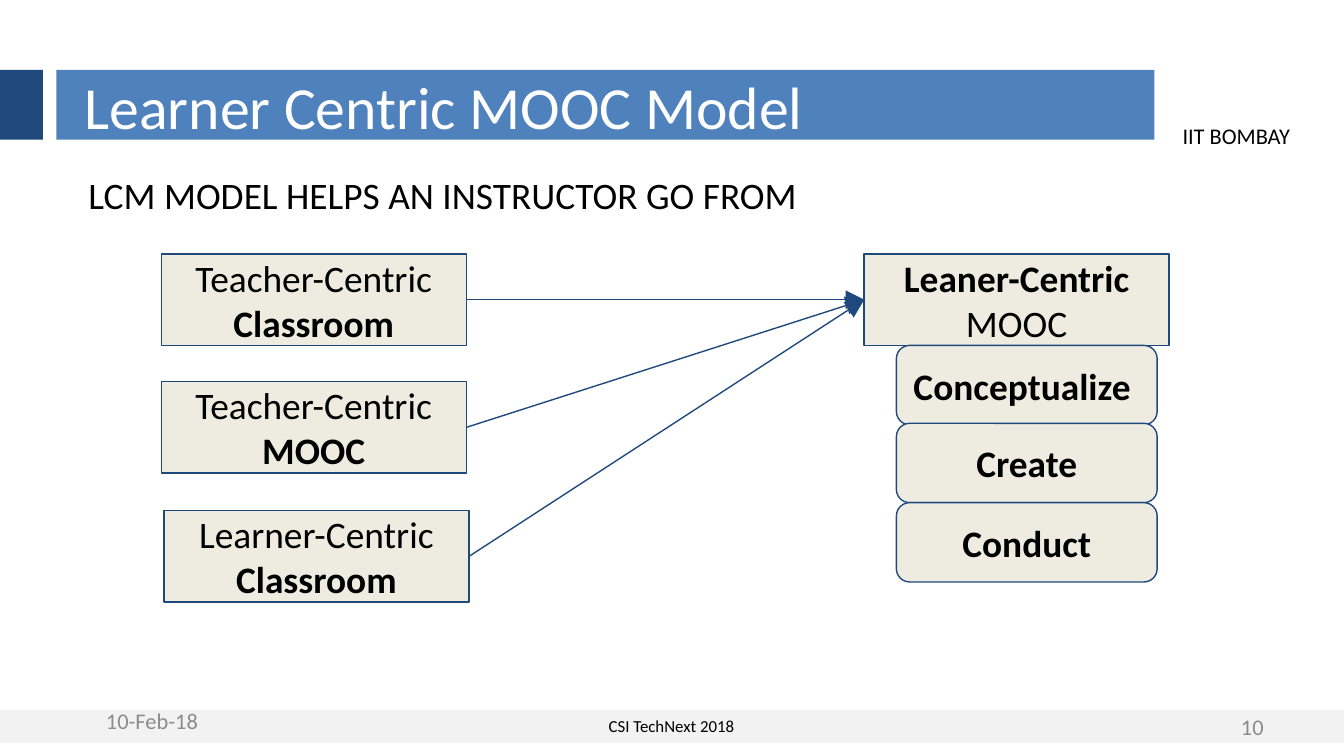
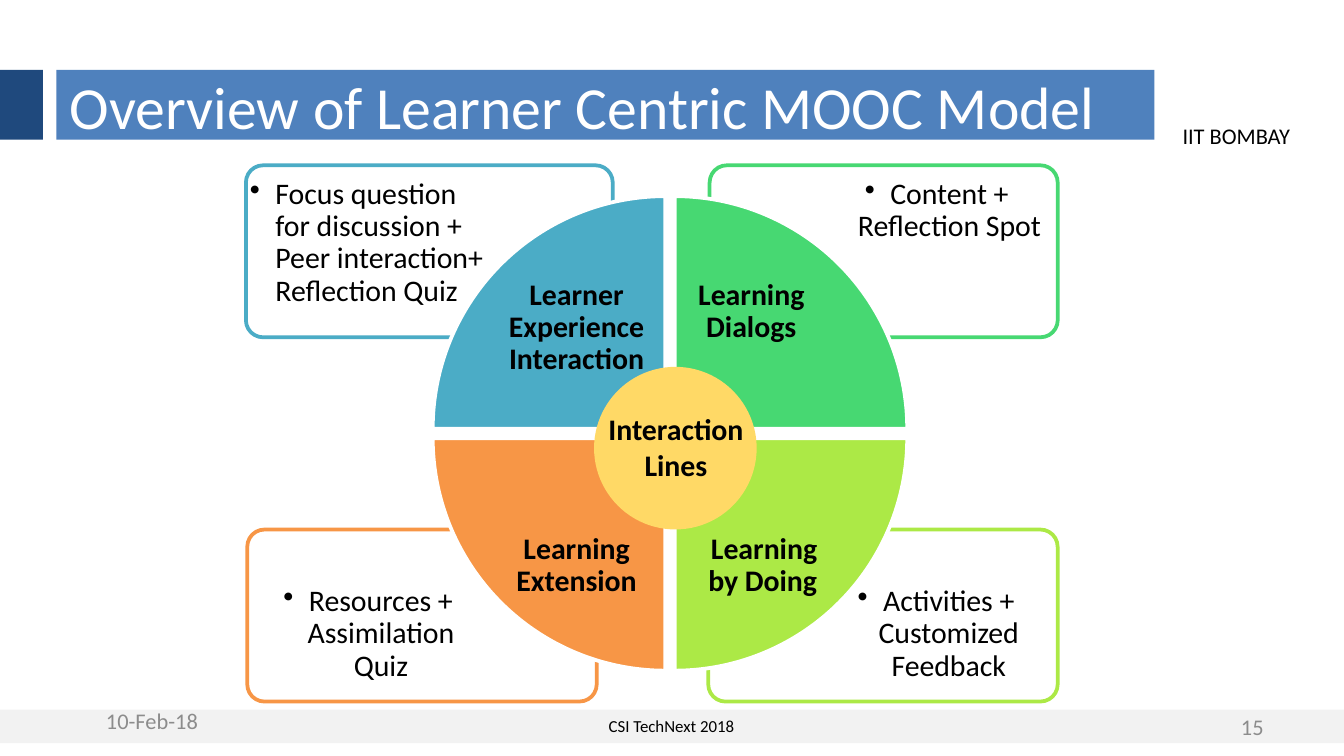
from dataclasses import dataclass
from lxml.etree import SubElement
from pptx import Presentation
from pptx.dml.color import RGBColor
from pptx.enum.shapes import MSO_CONNECTOR, MSO_SHAPE
from pptx.enum.text import MSO_ANCHOR, PP_ALIGN
from pptx.oxml.ns import qn
from pptx.util import Inches, Pt


@dataclass(frozen=True)
class Theme:
    font: str = "Calibri"
    white: str = "FFFFFF"
    black: str = "000000"
    grey: str = "8C8C8C"
    band: str = "F2F2F2"
    blue: str = "4F81BD"
    navy: str = "1F497D"
    cream: str = "EEECE1"
    teal: str = "4BACC6"
    green: str = "47D872"
    lime: str = "ACE946"
    orange: str = "F79646"
    yellow: str = "FFD966"
    title: int = 32
    body: int = 20
    detail: int = 16
    small: int = 12
    footer: int = 9


theme = Theme()
LEFT, CENTER, RIGHT = PP_ALIGN.LEFT, PP_ALIGN.CENTER, PP_ALIGN.RIGHT
TOP, MIDDLE = MSO_ANCHOR.TOP, MSO_ANCHOR.MIDDLE


def draw(page, kind, place, fill, line=None, weight=0.75):
    shape = page.shapes.add_shape(kind, *map(Inches, place))
    shape.shadow.inherit = False
    shape.fill.solid()
    shape.fill.fore_color.rgb = RGBColor.from_string(fill)
    if line:
        shape.line.color.rgb = RGBColor.from_string(line)
        shape.line.width = Pt(weight)
    else:
        shape.line.fill.background()
    return shape


def write(box, lines, size, color=theme.black, align=LEFT, anchor=TOP,
          insets=(0.1, 0.05, 0.1, 0.05), spacing=None, bullet=False, wrap=True):
    frame = box.text_frame
    frame.word_wrap = wrap
    frame.vertical_anchor = anchor
    (frame.margin_left, frame.margin_top,
     frame.margin_right, frame.margin_bottom) = map(Inches, insets)
    for index, runs in enumerate(lines):
        para = frame.add_paragraph() if index else frame.paragraphs[0]
        para.alignment = align
        if spacing:
            para.line_spacing = spacing
        if bullet:
            properties = para._p.get_or_add_pPr()
            properties.set("marL", str(Inches(0.19)))
            properties.set("indent", str(-Inches(0.19)))
            SubElement(properties, qn("a:buChar")).set("char", "•")
        for text, bold in runs:
            span = para.add_run()
            span.text = text
            span.font.name = theme.font
            span.font.size = Pt(size)
            span.font.bold = bold
            span.font.color.rgb = RGBColor.from_string(color)


deck = Presentation()
deck.slide_width = Inches(10)
deck.slide_height = deck.slide_width * 9 // 16

titles = [
    ("Learner Centric MOOC Model", "10", 0.53, 7.8),
    ("Overview of Learner Centric MOOC Model", "15", 0.42, 8.17),
]
pages = []
for title, number, left, width in titles:
    page = deck.slides.add_slide(deck.slide_layouts[6])
    pages.append(page)
    for place, fill in [
        ((0, 5.28, 10, 0.25), theme.band),
        ((0.42, 0.52, 8.17, 0.52), theme.blue),
        ((0, 0.52, 0.32, 0.52), theme.navy),
    ]:
        draw(page, MSO_SHAPE.RECTANGLE, place, fill)
    for text, place, size, color, align, anchor, wrap in [
        ("IIT BOMBAY", (8.7, 0.86, 1.01, 0.3), theme.small, theme.black, LEFT, TOP, False),
        ("CSI TechNext 2018", (1, 5.28, 7.99, 0.24), theme.footer, theme.black, CENTER, TOP, True),
        (number, (8.88, 5.26, 0.62, 0.3), theme.small, theme.grey, RIGHT, MIDDLE, True),
        ("10-Feb-18", (0.69, 5.21, 2.25, 0.3), theme.small, theme.grey, LEFT, MIDDLE, True),
        (title, (left, 0.53, width, 0.51), theme.title, theme.white, LEFT, MIDDLE, True),
    ]:
        box = page.shapes.add_textbox(*map(Inches, place))
        write(box, [[(text, False)]], size, color, align, anchor, wrap=wrap)

model_page, overview_page = pages

box = model_page.shapes.add_textbox(Inches(0.56), Inches(1.23), Inches(8.03), Inches(3.92))
write(box, [[("LCM MODEL HELPS AN INSTRUCTOR GO FROM", False)]], theme.body)

settings = []
for left, top, runs in [
    (1.2, 1.89, [("Teacher-Centric ", False), ("Classroom", True)]),
    (1.2, 2.84, [("Teacher-Centric ", False), ("MOOC", True)]),
    (1.22, 3.8, [("Learner-Centric ", False), ("Classroom", True)]),
    (6.43, 1.89, [("Leaner-Centric", True), (" MOOC", False)]),
]:
    setting = draw(model_page, MSO_SHAPE.RECTANGLE, (left, top, 2.27, 0.68),
                   theme.cream, theme.navy)
    write(setting, [runs], theme.body, align=CENTER, anchor=MIDDLE, insets=(0.1,) * 4)
    settings.append(setting)

for stage, top, align in [
    ("Conceptualize", 2.57, LEFT), ("Create", 3.15, CENTER), ("Conduct", 3.74, CENTER),
]:
    box = draw(model_page, MSO_SHAPE.ROUNDED_RECTANGLE, (6.67, top, 1.94, 0.59),
               theme.cream, theme.navy)
    write(box, [[(stage, True)]], theme.body, align=align, anchor=MIDDLE, insets=(0.1,) * 4)

*sources, target = settings
for source in sources:
    arrow = model_page.shapes.add_connector(MSO_CONNECTOR.STRAIGHT, 0, 0, 0, 0)
    arrow.begin_connect(source, 3)
    arrow.end_connect(target, 1)
    arrow.line.color.rgb = RGBColor.from_string(theme.navy)
    arrow.line.width = Pt(0.75)
    head = SubElement(arrow.line._get_or_add_ln(), qn("a:tailEnd"))
    for name, value in [("type", "triangle"), ("w", "lg"), ("len", "lg")]:
        head.set(name, value)
    SubElement(arrow._element.spPr, qn("a:effectLst"))

even = (0.07,) * 4
for text, color, frame, place, align, insets in [
    ("Activities + Customized Feedback", theme.lime,
     (5.27, 3.94, 2.6, 1.28), (6.08, 4.29, 1.77, 0.9), CENTER, even),
    ("Resources + Assimilation Quiz", theme.orange,
     (1.84, 3.94, 2.6, 1.28), (1.86, 4.29, 1.76, 0.9), CENTER, even),
    ("Content + Reflection Spot", theme.green,
     (5.28, 1.23, 2.59, 1.28), (6.09, 1.26, 1.76, 0.9), CENTER, even),
    ("Focus question for discussion + Peer interaction+ Reflection Quiz", theme.teal,
     (1.83, 1.23, 2.73, 1.28), (1.86, 1.26, 1.86, 0.9), LEFT, (0, 0.07, 0.08, 0.07)),
]:
    card = draw(overview_page, MSO_SHAPE.ROUNDED_RECTANGLE, frame, theme.white, color, 2)
    card.adjustments[0] = 0.1
    box = overview_page.shapes.add_textbox(*map(Inches, place))
    write(box, [[(text, False)]], theme.detail, align=align, insets=insets,
          spacing=0.9, bullet=True)

inner = (0.08, 0.12, 0.16, 0.12)
for index, (text, color, left, top, place, align, anchor, insets) in enumerate([
    ("Learner Experience Interaction", theme.teal, 3.22, 1.46,
     (3.72, 1.96, 1.22, 1.22), CENTER, TOP, (0.04, 0.12, 0.12, 0.12)),
    ("Learning Dialogs", theme.green, 5.02, 1.46,
     (5.02, 1.96, 1.22, 1.22), CENTER, TOP, inner),
    ("Learning by Doing", theme.lime, 5.02, 3.26,
     (5.02, 3.84, 1.22, 0.74), RIGHT, MIDDLE, inner),
    ("Learning Extension", theme.orange, 3.22, 3.26,
     (3.72, 3.84, 1.22, 0.74), CENTER, MIDDLE, inner),
]):
    wedge = draw(overview_page, MSO_SHAPE.PIE_WEDGE, (left, top, 1.73, 1.73),
                 color, theme.white, 2)
    wedge.rotation = 90 * index
    box = overview_page.shapes.add_textbox(*map(Inches, place))
    write(box, [[(text, True)]], theme.detail, align=align, anchor=anchor,
          insets=insets, spacing=0.9)

draw(overview_page, MSO_SHAPE.OVAL, (4.42, 2.73, 1.21, 1.21), theme.yellow)
box = overview_page.shapes.add_textbox(Inches(4.41), Inches(3.01), Inches(1.24), Inches(0.64))
write(box, [[("Interaction", True)], [("Lines", True)]], theme.detail, align=CENTER)

deck.save("out.pptx")
